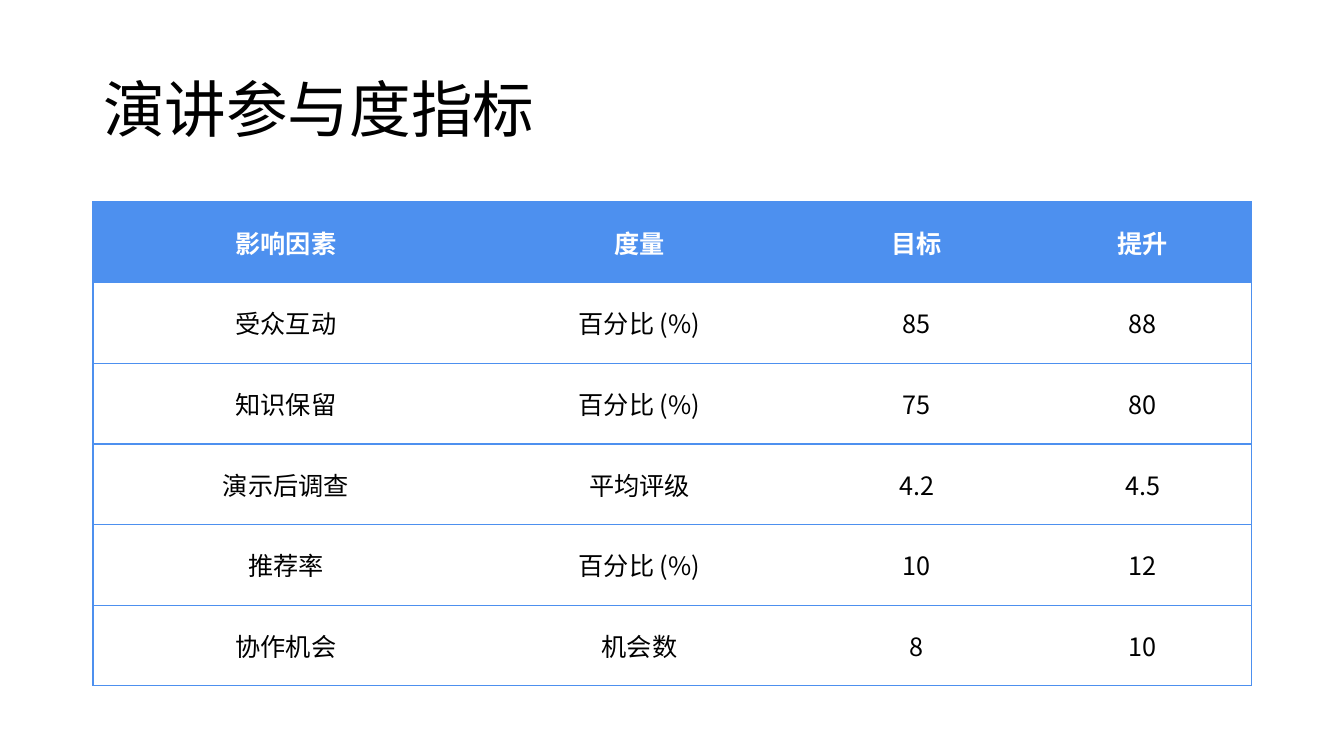
from lxml.etree import SubElement
from pptx import Presentation
from pptx.dml.color import RGBColor
from pptx.enum.text import MSO_ANCHOR, PP_ALIGN
from pptx.oxml.ns import qn
from pptx.util import Pt

BLUE = RGBColor(0x4D, 0x90, 0xEF)
WHITE = RGBColor(0xFF, 0xFF, 0xFF)
BLACK = RGBColor(0x00, 0x00, 0x00)

METRICS = [
    ["影响因素", "度量", "目标", "提升"],
    ["受众互动", "百分比 (%)", "85", "88"],
    ["知识保留", "百分比 (%)", "75", "80"],
    ["演示后调查", "平均评级", "4.2", "4.5"],
    ["推荐率", "百分比 (%)", "10", "12"],
    ["协作机会", "机会数", "8", "10"],
]
COLUMN_WIDTHS = [386, 321, 234, 218]


def px(length):
    return round(length * 914400 / 100.8)


def apply(target, settings):
    for name, value in settings.items():
        setattr(target, name, value)


class MetricsSlide:
    font_name = "Noto Sans CJK SC"
    border_width = Pt(1)

    def __init__(self, deck):
        self.slide = deck.slides.add_slide(deck.slide_layouts[5])

    def add_text(self, frame, text, size, color, bold=False, **paragraph_format):
        paragraph = frame.paragraphs[0]
        apply(paragraph, paragraph_format)
        run = paragraph.add_run()
        run.text = text
        apply(run.font, {"name": self.font_name, "size": Pt(size), "bold": bold})
        run.font.color.rgb = color
        SubElement(run.font._element, qn("a:ea"), typeface=self.font_name)

    def title(self, text, left, top, width, height):
        heading = self.slide.shapes.title
        apply(heading, {"left": px(left), "top": px(top),
                        "width": px(width), "height": px(height)})
        apply(heading.text_frame, {"word_wrap": True,
                                   "vertical_anchor": MSO_ANCHOR.MIDDLE})
        self.add_text(heading.text_frame, text, 44, BLACK,
                      alignment=PP_ALIGN.LEFT, line_spacing=0.9)

    def borders(self, cell, visible):
        properties = cell._tc.get_or_add_tcPr()
        for position, side in enumerate("LRTB"):
            line = SubElement(properties, qn(f"a:ln{side}"), w=str(self.border_width))
            if side in visible:
                fill = SubElement(line, qn("a:solidFill"))
                SubElement(fill, qn("a:srgbClr"), val=str(BLUE))
            else:
                SubElement(line, qn("a:noFill"))
            properties.insert(position, line)

    def table(self, rows, widths, left, top, height):
        table = self.slide.shapes.add_table(
            len(rows), len(widths), px(left), px(top), px(sum(widths)), px(height)
        ).table
        apply(table, {"first_row": True, "horz_banding": False})
        for column, width in zip(table.columns, widths):
            column.width = px(width)
        for row_index, values in enumerate(rows):
            header = row_index == 0
            for column_index, value in enumerate(values):
                cell = table.cell(row_index, column_index)
                cell.vertical_anchor = MSO_ANCHOR.MIDDLE
                if header:
                    cell.fill.solid()
                    cell.fill.fore_color.rgb = BLUE
                else:
                    cell.fill.background()
                visible = "TB"
                if column_index == 0:
                    visible += "L"
                if column_index == len(widths) - 1:
                    visible += "R"
                self.borders(cell, visible)
                self.add_text(cell.text_frame, value, 18, WHITE if header else BLACK,
                              bold=header, alignment=PP_ALIGN.CENTER)


def main():
    deck = Presentation()
    apply(deck, {"slide_width": px(1344), "slide_height": px(756)})
    metrics = MetricsSlide(deck)
    metrics.title("演讲参与度指标", 93, 40, 1159, 146)
    metrics.table(METRICS, COLUMN_WIDTHS, 93, 202, 484)
    deck.save("out.pptx")


if __name__ == "__main__":
    main()
